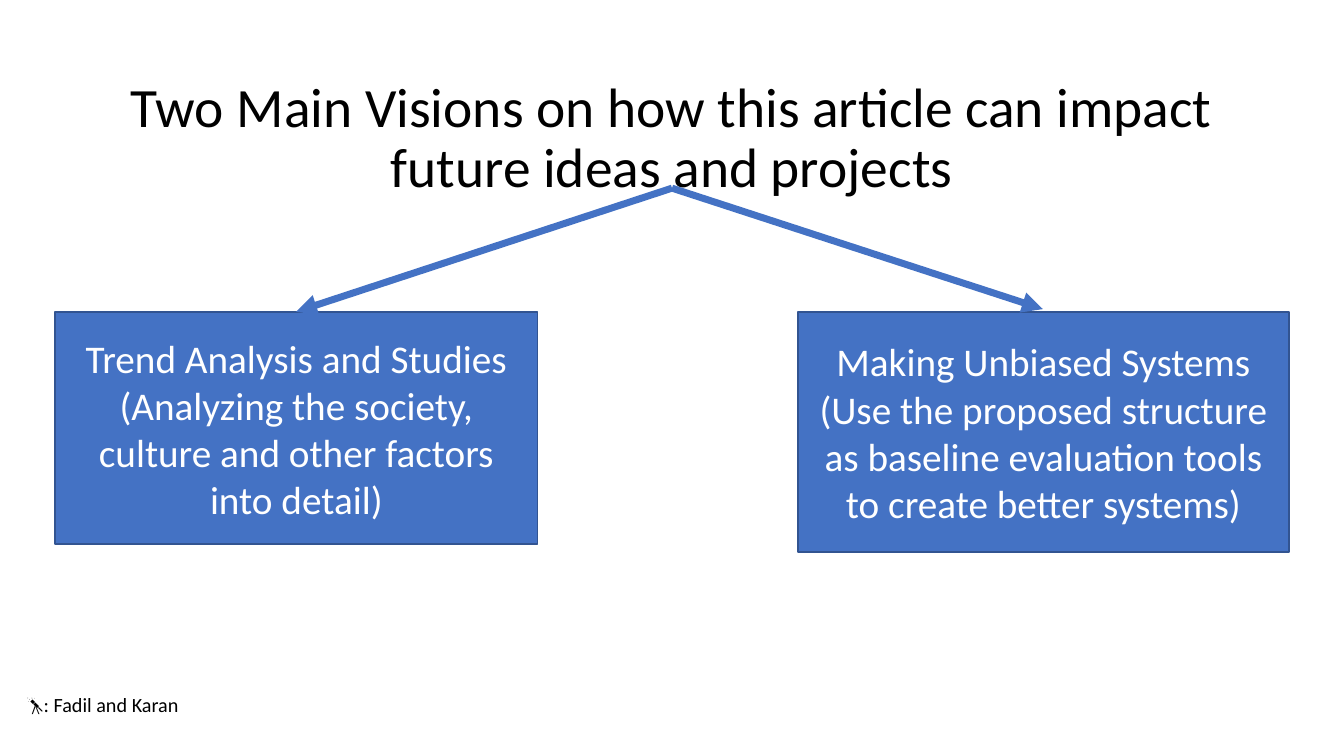
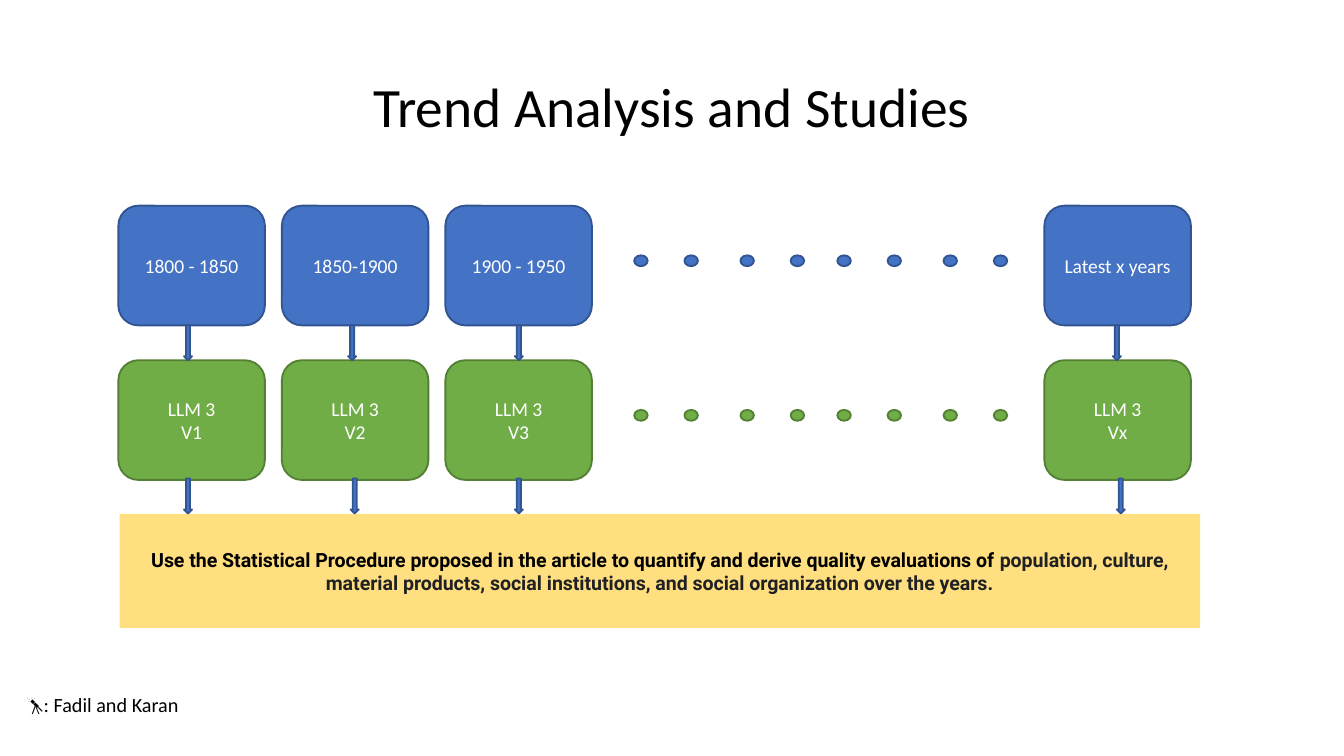
from itertools import product

from lxml.etree import SubElement
from pptx import Presentation
from pptx.dml.color import RGBColor
from pptx.enum.shapes import MSO_CONNECTOR, MSO_SHAPE
from pptx.enum.text import MSO_ANCHOR, PP_ALIGN
from pptx.oxml.ns import qn
from pptx.util import Pt

COLORS = {
    "text": "000000", "grey": "202124", "white": "FFFFFF",
    "blue": "4472C4", "blue_line": "325491",
    "green": "70AD47", "green_line": "538035",
    "amber": "FFC000",
}
FONT = "Calibri"
FOOTER = "🔭: Fadil and Karan"

# Timeline grid
COLUMNS = [63.4 + 87.6 * i for i in range(3)] + [559.5]
CARD_W, CARD_H = 78.5, 64.1
PERIOD_TOP, MODEL_TOP = 110.2, 193
PERIODS = ["1800 - 1850", "1850-1900", "1900 - 1950", "Latest x years"]
VERSIONS = ["V1", "V2", "V3", "Vx"]


def rgb(name):
    return RGBColor.from_string(COLORS[name])


def add_run(p, text, size, color, font=FONT, bold=False):
    r = p.add_run()
    r.text = text
    r.font.name = font
    r.font.size = Pt(size)
    r.font.bold = bold
    r.font.color.rgb = rgb(color)


def add_text(slide, box, text, size, spacing, align, after=0):
    sp = slide.shapes.add_textbox(*map(Pt, box))
    tf = sp.text_frame
    tf.word_wrap = True
    tf.margin_left = tf.margin_right = tf.margin_top = tf.margin_bottom = Pt(7.2)
    p = tf.paragraphs[0]
    p.alignment = align
    p.line_spacing = spacing
    p.space_after = Pt(after)
    add_run(p, text, size, "text")


def add_box(slide, kind, box, fill, outline=True):
    sp = slide.shapes.add_shape(kind, *map(Pt, box))
    sp.shadow.inherit = False
    sp.fill.solid()
    sp.fill.fore_color.rgb = rgb(fill)
    if outline:
        sp.line.color.rgb = rgb(fill + "_line")
        sp.line.width = Pt(1)
    else:
        sp.line.fill.background()
    return sp


def fill_box(sp, paragraphs):
    """Centre paragraphs in a box; each is a list of add_run argument dicts."""
    tf = sp.text_frame
    tf.word_wrap = True
    tf.vertical_anchor = MSO_ANCHOR.MIDDLE
    for i, runs in enumerate(paragraphs):
        p = tf.add_paragraph() if i else tf.paragraphs[0]
        p.alignment = PP_ALIGN.CENTER
        for run in runs:
            add_run(p, **run)


def add_label_box(slide, kind, box, fill, lines, size):
    sp = add_box(slide, kind, box, fill)
    fill_box(sp, [[dict(text=t, size=size, color="white")] for t in lines])


def add_arrow_line(slide, start, end):
    cxn = slide.shapes.add_connector(MSO_CONNECTOR.STRAIGHT, *map(Pt, start + end))
    cxn.line.color.rgb = rgb("blue")
    cxn.line.width = Pt(3.75)
    SubElement(cxn.line._get_or_add_ln(), qn("a:tailEnd"), type="triangle")
    SubElement(cxn._element.spPr, qn("a:effectLst"))


def add_down_arrows(slide, lefts, top):
    for left in lefts:
        add_box(slide, MSO_SHAPE.DOWN_ARROW, (left, top, 4.3, 18.7), "blue")


def add_timeline_row(slide, top, fill, labels):
    for left, lines in zip(COLUMNS, labels):
        add_label_box(slide, MSO_SHAPE.ROUNDED_RECTANGLE,
                      (left, top, CARD_W, CARD_H), fill, lines, 10.5)
    # Dots: two groups of two pairs
    for offsets in product((0, 108.8), (0, 56.9), (0, 26.9)):
        add_box(slide, MSO_SHAPE.OVAL,
                (339.8 + sum(offsets), top + 26.6, 7.2, 5.8), fill)


def new_slide(prs, title):
    slide = prs.slides.add_slide(prs.slide_layouts[6])
    add_text(slide, (24.5, 35.3, 671, 45.4), title, 29.7, 0.9, PP_ALIGN.CENTER)
    add_text(slide, (7.2, 370, 248.4, 36), FOOTER, 10.8, 0.7, PP_ALIGN.LEFT, 12)
    return slide


def build_visions(prs):
    slide = new_slide(prs, "Two Main Visions on how this article can impact "
                           "future ideas and projects")
    visions = [
        ((29.5, 167, 258.5, 124.6), "Trend Analysis and Studies",
         "(Analyzing the society, culture and other factors into detail)"),
        ((427.4, 167, 263.2, 128.8), "Making Unbiased Systems",
         "(Use the proposed structure as baseline evaluation tools "
         "to create better systems)"),
    ]
    for box, heading, detail in visions:
        add_label_box(slide, MSO_SHAPE.RECTANGLE, box, "blue", [heading, detail], 21)
    for end in ((158.6, 167), (558.7, 165.6)):
        add_arrow_line(slide, (360, 100.8), end)


def build_trends(prs):
    slide = new_slide(prs, "Trend Analysis and Studies")
    add_timeline_row(slide, PERIOD_TOP, "blue", [[t] for t in PERIODS])
    add_timeline_row(slide, MODEL_TOP, "green", [["LLM 3", v] for v in VERSIONS])
    add_down_arrows(slide, (98.6, 186.5, 275.8, 596.2), PERIOD_TOP + CARD_H)

    # Half-transparent summary panel
    panel = add_box(slide, MSO_SHAPE.RECTANGLE, (64.1, 275.4, 578.9, 61), "amber",
                    outline=False)
    color = panel._element.spPr.find(qn("a:solidFill"))[0]
    SubElement(color, qn("a:alpha"), val="50000")
    style = dict(size=10.5, font="Roboto", bold=True)
    fill_box(panel, [[
        dict(text="Use the Statistical Procedure proposed in the article to quantify "
                  "and derive quality evaluations of ", color="text", **style),
        dict(text="population, culture, material products, social institutions, "
                  "and social organization over the years.", color="grey", **style),
    ]])
    add_down_arrows(slide, (98.6, 187.9, 275.8, 598.3), MODEL_TOP + CARD_H - 0.7)


def main():
    prs = Presentation()
    prs.slide_width, prs.slide_height = Pt(720), Pt(405)
    build_visions(prs)
    build_trends(prs)
    prs.save("out.pptx")


if __name__ == "__main__":
    main()
